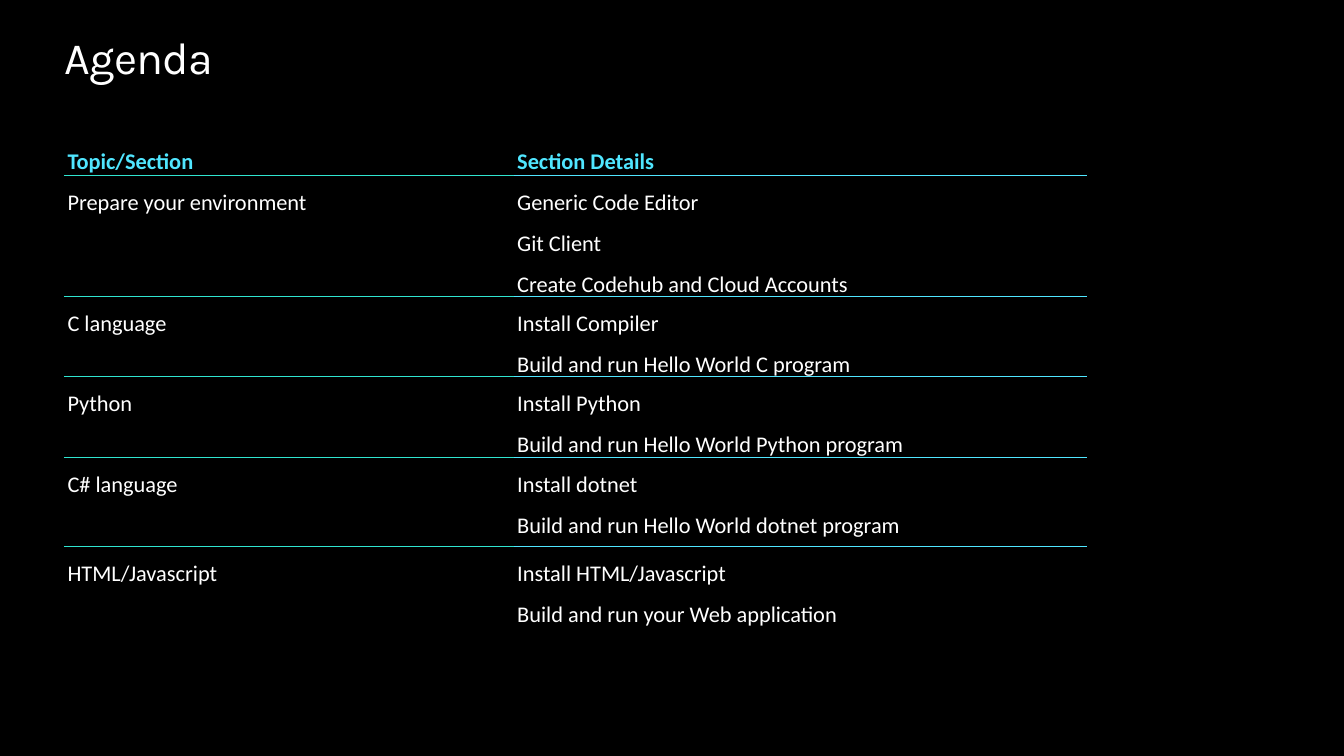
import pptx
import pptx.dml.color
import pptx.oxml
import pptx.oxml.ns
import pptx.util

WIDTH, HEIGHT = 13.33, 7.5
LEFT = 0.64
COLUMNS = [4.46, 5.68]
ROWS = [0.41, 1, 0.74, 0.65, 0.88, 0.92]
BLACK, WHITE, CYAN, TEAL = "000000", "FFFFFF", "50E6FF", "30E5D0"
ACCENTS = [TEAL, CYAN]

AGENDA = [
    ("Topic/Section", ["Section Details"]),
    ("Prepare your environment",
     ["Generic Code Editor", "Git Client", "Create Codehub and Cloud Accounts"]),
    ("C language",
     ["Install Compiler", "Build and run Hello World C program"]),
    ("Python",
     ["Install Python", "Build and run Hello World Python program"]),
    ("C# language",
     ["Install dotnet", "Build and run Hello World dotnet program"]),
    ("HTML/Javascript",
     ["Install HTML/Javascript", "Build and run your Web application"]),
]


def inches(value):
    return pptx.util.Inches(value)


def color(value):
    return pptx.dml.color.RGBColor.from_string(value)


def write(para, text, font="Calibri", size=16, fill=WHITE, bold=False,
          line=1.0, after=0, tracking=0):
    """Put one formatted span into a paragraph."""
    para.line_spacing = line
    para.space_after = pptx.util.Pt(after)
    span = para.add_run()
    span.text = text
    span.font.name = font
    span.font.size = pptx.util.Pt(size)
    span.font.bold = bold
    span.font.color.rgb = color(fill)
    if tracking:
        span.font._element.set("spc", str(int(tracking * 100)))


def set_borders(cell, top, bottom):
    """Draw one-point borders; the sides blend into the background."""
    properties = cell._tc.get_or_add_tcPr()
    for side, stroke in zip("LRTB", (BLACK, BLACK, top, bottom)):
        properties.append(pptx.oxml.parse_xml(
            f'<a:ln{side} {pptx.oxml.ns.nsdecls("a")} w="12700">'
            f'<a:solidFill><a:srgbClr val="{stroke}"/></a:solidFill>'
            f'</a:ln{side}>'))


def fill_cell(cell, lines, **style):
    cell.margin_left = cell.margin_right = inches(0.03)
    cell.margin_top = cell.margin_bottom = 0
    cell.fill.background()
    frame = cell.text_frame
    for index, text in enumerate(lines):
        para = frame.add_paragraph() if index else frame.paragraphs[0]
        write(para, text, line=1.5, **style)


def add_title(page, text):
    box = page.shapes.add_textbox(
        inches(LEFT), inches(0.29), inches(12.05), inches(0.54))
    frame = box.text_frame
    frame.word_wrap = True
    frame.margin_left = frame.margin_right = 0
    frame.margin_top = frame.margin_bottom = 0
    write(frame.paragraphs[0], text, font="Karla", size=32, tracking=-0.5)


def add_agenda(page):
    table = page.shapes.add_table(
        len(ROWS), len(COLUMNS), inches(LEFT), inches(1.33),
        inches(sum(COLUMNS)), inches(sum(ROWS))).table
    table.first_row = table.horz_banding = False
    for column, width in zip(table.columns, COLUMNS):
        column.width = inches(width)
    for row, height in zip(table.rows, ROWS):
        row.height = inches(height)

    # Each column has its own rule colour; the outer edges stay black
    last = len(AGENDA) - 1
    for number, (topic, details) in enumerate(AGENDA):
        style = {} if number else {"fill": CYAN, "bold": True, "after": 8}
        for column, lines in enumerate(([topic], details)):
            cell = table.cell(number, column)
            accent = ACCENTS[column]
            set_borders(cell, top=accent if number else BLACK,
                        bottom=accent if number < last else BLACK)
            fill_cell(cell, lines, **style)


def main():
    deck = pptx.Presentation()
    deck.slide_width, deck.slide_height = inches(WIDTH), inches(HEIGHT)
    page = deck.slides.add_slide(deck.slide_layouts[6])
    page.background.fill.solid()
    page.background.fill.fore_color.rgb = color(BLACK)
    add_title(page, "Agenda")
    add_agenda(page)
    deck.save("out.pptx")


if __name__ == "__main__":
    main()
